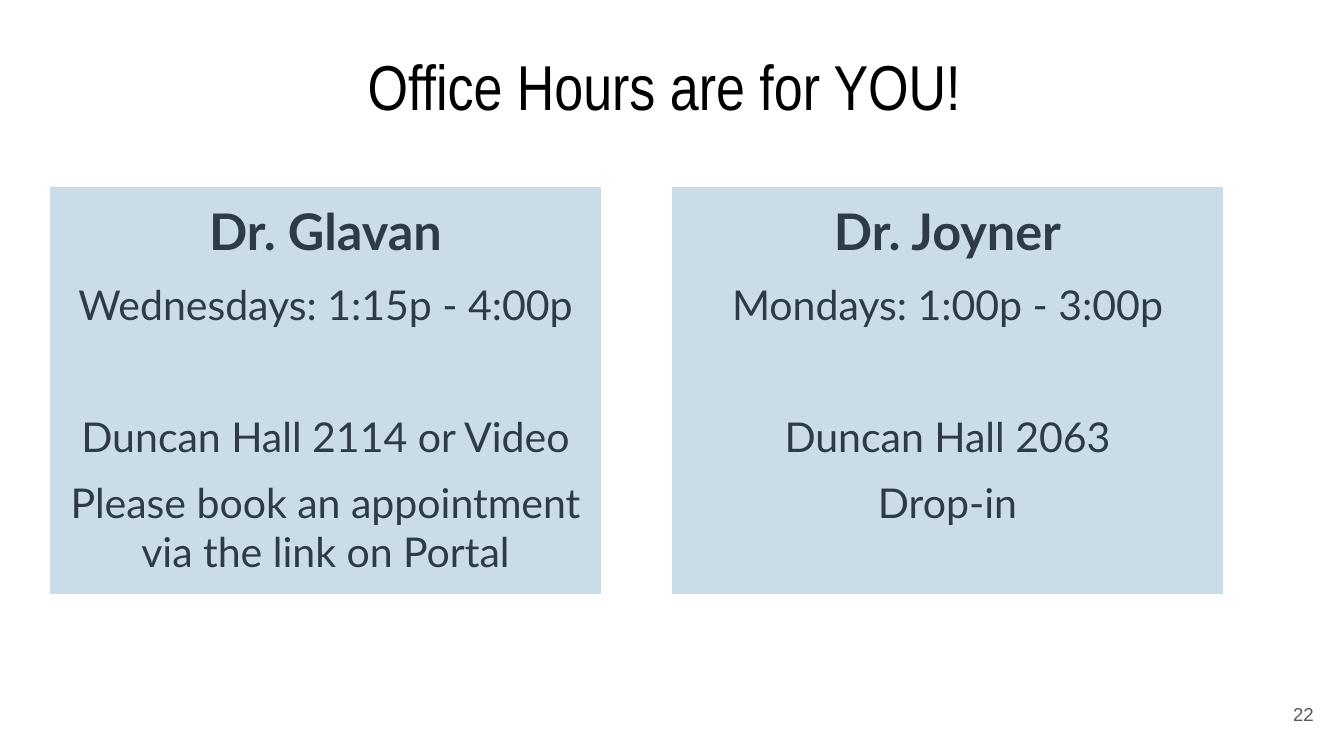
from dataclasses import dataclass

from lxml import etree
from pptx import Presentation
from pptx.dml.color import RGBColor
from pptx.enum.shapes import MSO_SHAPE
from pptx.enum.text import MSO_ANCHOR, PP_ALIGN
from pptx.oxml.ns import qn
from pptx.util import Emu, Inches, Pt

RECT = MSO_SHAPE.RECTANGLE
TOP, MIDDLE = MSO_ANCHOR.TOP, MSO_ANCHOR.MIDDLE
CENTER, RIGHT = PP_ALIGN.CENTER, PP_ALIGN.RIGHT
BLACK = RGBColor(0x00, 0x00, 0x00)
GRAY = RGBColor(0x59, 0x59, 0x59)
SLATE = RGBColor(0x2D, 0x3B, 0x45)
BLUE = RGBColor(0xAC, 0xC7, 0xDC)
SCALE = 914400 / 134.4


@dataclass(frozen=True)
class Style:
    font: str
    size: int
    color: RGBColor
    bold: bool = False


@dataclass(frozen=True)
class Line:
    text: str
    style: Style
    before: int = 0


@dataclass(frozen=True)
class Card:
    name: str
    time: str
    place: str
    note: str


TITLE = Style("Arial Narrow", 34, BLACK)
NUMBER = Style("Arial", 10, GRAY)
NAME = Style("Lato", 27, SLATE, True)
BODY = Style("Lato", 22, SLATE)
CARDS = [
    Card("Dr. Glavan", "Wednesdays: 1:15p - 4:00p", "Duncan Hall 2114 or Video",
         "Please book an appointment via the link on Portal"),
    Card("Dr. Joyner", "Mondays: 1:00p - 3:00p", "Duncan Hall 2063", "Drop-in"),
]


def px(n: int) -> Emu:
    return Emu(round(n * SCALE))


def write(shape, lines: list[Line], align=CENTER, anchor=TOP) -> None:
    frame = shape.text_frame
    frame.word_wrap = True
    frame.vertical_anchor = anchor
    frame.margin_left = frame.margin_right = Inches(0.1)
    frame.margin_top = frame.margin_bottom = Inches(0.1)
    for i, line in enumerate(lines):
        para = frame.add_paragraph() if i else frame.paragraphs[0]
        para.alignment = align
        para.space_before = Pt(line.before)
        run = para.add_run()
        run.text = line.text
        font = run.font
        font.name = line.style.font
        font.size = Pt(line.style.size)
        font.bold = line.style.bold
        font.color.rgb = line.style.color


def add_card(slide, card: Card, left: int) -> None:
    box = slide.shapes.add_shape(RECT, px(left), px(187), px(551), px(407))
    box.shadow.inherit = False
    box.fill.solid()
    box.fill.fore_color.rgb = BLUE
    tint = box.element.spPr.find(f"{qn('a:solidFill')}/{qn('a:srgbClr')}")
    etree.SubElement(tint, qn("a:alpha"), val="62000")
    box.line.fill.background()
    write(box, [
        Line(card.name, NAME),
        Line(card.time, BODY, 10),
        Line(card.place, BODY, 44),
        Line(card.note, BODY, 9),
    ])


def main() -> None:
    deck = Presentation()
    deck.slide_width, deck.slide_height = px(1344), px(756)
    slide = deck.slides.add_slide(deck.slide_layouts[6])
    title = slide.shapes.add_textbox(px(36), px(34), px(1257), px(103))
    write(title, [Line("Office Hours are for YOU!", TITLE)])
    number = slide.shapes.add_textbox(px(1246), px(685), px(81), px(58))
    write(number, [Line("22", NUMBER)], RIGHT, MIDDLE)
    for i, card in enumerate(CARDS):
        add_card(slide, card, 50 + 622 * i)
    deck.save("out.pptx")


if __name__ == "__main__":
    main()
